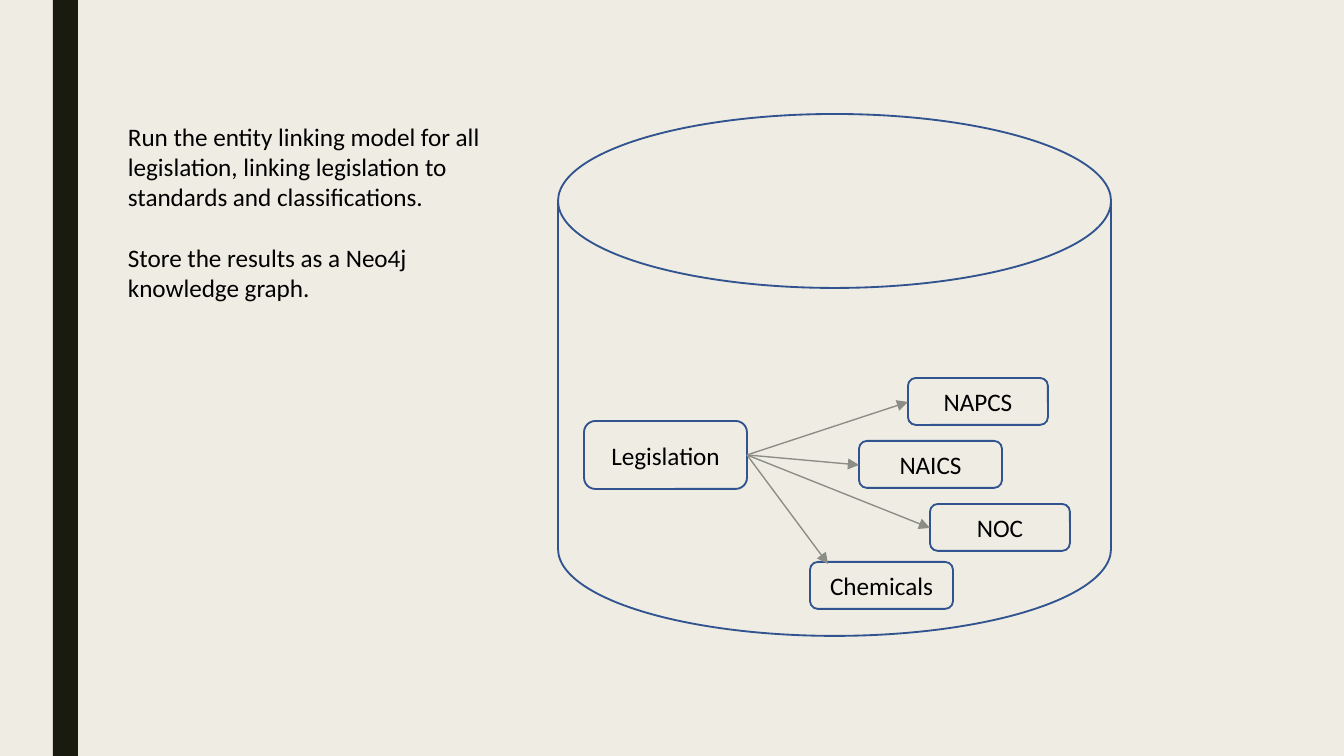
from lxml import etree
from pptx import Presentation
from pptx.dml.color import RGBColor
from pptx.enum.shapes import MSO_CONNECTOR, MSO_SHAPE
from pptx.enum.text import MSO_ANCHOR, PP_ALIGN
from pptx.oxml.ns import qn
from pptx.util import Emu, Pt

RECT, ROUND = MSO_SHAPE.RECTANGLE, MSO_SHAPE.ROUNDED_RECTANGLE
DISK = MSO_SHAPE.FLOWCHART_MAGNETIC_DISK
LINE = MSO_CONNECTOR.STRAIGHT
TOP, MIDDLE = MSO_ANCHOR.TOP, MSO_ANCHOR.MIDDLE
LEFT, CENTER = PP_ALIGN.LEFT, PP_ALIGN.CENTER

CREAM = RGBColor(0xEF, 0xED, 0xE3)
DARK = RGBColor(0x19, 0x1B, 0x0E)
BLUE = RGBColor(0x31, 0x53, 0x8F)
GRAY = RGBColor(0x8C, 0x8D, 0x86)
BLACK = RGBColor(0, 0, 0)

SCALE = 914400 / 134.4  # EMU per px


def px(*vals):
    return [Emu(round(v * SCALE)) for v in vals]


class Canvas:
    font = {"name": "Calibri", "size": Pt(13.5)}
    pads = (10, 5, 10, 5)

    def __init__(self, slide):
        self.slide = slide
        slide.background.fill.solid()
        slide.background.fill.fore_color.rgb = CREAM

    def shape(self, kind, box, fill=None, line=None):
        item = self.slide.shapes.add_shape(kind, *px(*box))
        item.shadow.inherit = False
        if fill is None:
            item.fill.background()
        else:
            item.fill.solid()
            item.fill.fore_color.rgb = fill
        if line is None:
            item.line.fill.background()
        else:
            item.line.color.rgb = line
            item.line.width = Pt(1)
        return item

    def label(self, item, paras, align, anchor):
        frame = item.text_frame
        sides = ("margin_left", "margin_top", "margin_right", "margin_bottom")
        style = dict(zip(sides, px(*self.pads)))
        style.update(word_wrap=True, vertical_anchor=anchor)
        for key, val in style.items():
            setattr(frame, key, val)
        for i, text in enumerate(paras):
            para = frame.add_paragraph() if i else frame.paragraphs[0]
            para.alignment = align
            if i:
                para.space_before = Pt(16.5)
            run = para.add_run()
            run.text = text
            for key, val in self.font.items():
                setattr(run.font, key, val)
            run.font.color.rgb = BLACK

    def text(self, box, paras):
        item = self.slide.shapes.add_textbox(*px(*box))
        self.label(item, paras, LEFT, TOP)

    def node(self, box, name):
        item = self.shape(ROUND, box, line=BLUE)
        self.label(item, [name], CENTER, MIDDLE)

    def arrow(self, start, end):
        link = self.slide.shapes.add_connector(LINE, *px(*start, *end))
        link.line.color.rgb = GRAY
        link.line.width = Pt(0.75)
        props = link._element.spPr
        etree.SubElement(props.find(qn("a:ln")), qn("a:tailEnd"),
                         type="triangle")
        etree.SubElement(props, qn("a:effectLst"))


def main():
    deck = Presentation()
    deck.slide_width, deck.slide_height = px(1344, 756)
    page = Canvas(deck.slides.add_slide(deck.slide_layouts[6]))

    # Side bar and graph store
    page.shape(RECT, (53, 0, 25, 756), fill=DARK)
    page.shape(DISK, (558, 114, 553, 522), line=BLUE)

    # Source node and the standards it links to
    page.node((584, 421, 163, 68), "Legislation")
    nodes = [
        ("NAPCS", 908, 378, 140, (908, 402)),
        ("NAICS", 859, 441, 143, (859, 465)),
        ("NOC", 930, 504, 140, (930, 528)),
        ("Chemicals", 810, 562, 143, (828, 564)),
    ]
    for name, left, top, width, tip in nodes:
        page.node((left, top, width, 47), name)
        page.arrow((747, 455), tip)

    # Explanation
    page.text((118, 116, 403, 194), [
        "Run the entity linking model for all legislation, "
        "linking legislation to standards and classifications.",
        "Store the results as a Neo4j knowledge graph.",
    ])

    deck.save("out.pptx")


if __name__ == "__main__":
    main()
